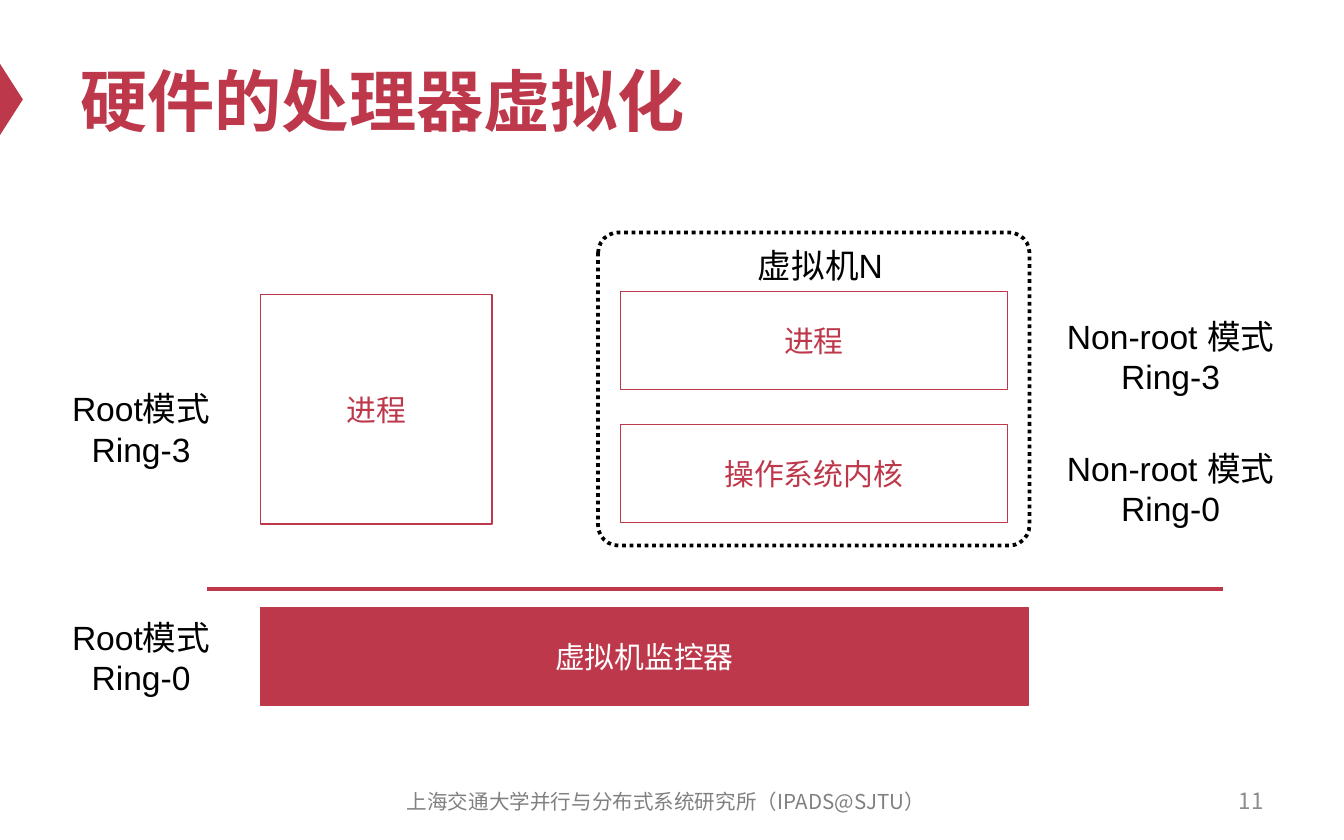
from lxml import etree
from pptx import Presentation
from pptx.dml.color import RGBColor
from pptx.enum.dml import MSO_LINE
from pptx.enum.shapes import MSO_CONNECTOR, MSO_SHAPE
from pptx.enum.text import MSO_ANCHOR, PP_ALIGN
from pptx.oxml.ns import qn
from pptx.util import Inches, Pt

RECT = MSO_SHAPE.RECTANGLE
ROUNDED = MSO_SHAPE.ROUNDED_RECTANGLE
TRIANGLE = MSO_SHAPE.ISOSCELES_TRIANGLE
STRAIGHT = MSO_CONNECTOR.STRAIGHT
DOTTED = MSO_LINE.ROUND_DOT
LEFT, CENTER, RIGHT = PP_ALIGN.LEFT, PP_ALIGN.CENTER, PP_ALIGN.RIGHT
TOP, MIDDLE = MSO_ANCHOR.TOP, MSO_ANCHOR.MIDDLE

RED = RGBColor(0xBE, 0x38, 0x4B)
WHITE = RGBColor(0xFF, 0xFF, 0xFF)
BLACK = RGBColor(0, 0, 0)
GRAY = RGBColor(0x80, 0x80, 0x80)
LIGHT_GRAY = RGBColor(0x8C, 0x8C, 0x8C)
LATIN, CJK = "Arial", "Noto Sans CJK SC"

COLUMNS, ROWS = 40, 25
CELL = Inches(0.25)
BAR_HEIGHT = 2.92
LABEL_HEIGHT = 2.84


def cells(*counts):
    return [round(count * CELL) for count in counts]


def write(frame, lines, size, color, align=CENTER, anchor=MIDDLE, name=LATIN, bold=False):
    frame.word_wrap = True
    frame.vertical_anchor = anchor
    font_format = {"name": name, "size": Pt(size), "bold": bold}
    for index, line in enumerate(lines):
        paragraph = frame.add_paragraph() if index else frame.paragraphs[0]
        paragraph.alignment = align
        run = paragraph.add_run()
        run.text = line
        for attribute, value in font_format.items():
            setattr(run.font, attribute, value)
        run.font.color.rgb = color
        etree.SubElement(run.font._element, qn("a:ea"), typeface=CJK)


def add_text(slide, box, lines, size, color, **layout):
    label = slide.shapes.add_textbox(*cells(*box))
    write(label.text_frame, lines, size, color, **layout)


def add_block(slide, box, text, fill, ink):
    block = slide.shapes.add_shape(RECT, *cells(*box))
    block.shadow.inherit = False
    block.fill.solid()
    block.fill.fore_color.rgb = fill
    block.line.color.rgb = RED
    block.line.width = Pt(0.75)
    write(block.text_frame, [text], 16, ink)


def add_header(slide, box):
    left, top, width, height = box
    marker_width, marker_height = 2.12, 0.68
    marker = slide.shapes.add_shape(TRIANGLE, *cells(
        (marker_height - marker_width) / 2, top + (height - marker_height) / 2,
        marker_width, marker_height))
    marker.rotation = 90
    marker.shadow.inherit = False
    marker.fill.solid()
    marker.fill.fore_color.rgb = RED
    marker.line.fill.background()
    add_text(slide, box, ["硬件的处理器虚拟化"], 36, RED, align=LEFT, bold=True)


def add_modes(slide, box, mode, rings, pitch):
    left, top, width = box
    for index, ring in enumerate(rings):
        add_text(slide, (left, top + index * pitch, width, LABEL_HEIGHT),
                 [mode, ring], 18, BLACK, anchor=TOP)


def add_host(slide, box):
    left, top, width, height = box
    add_block(slide, (left, top, 6.88, 6.84), "进程", WHITE, RED)
    add_block(slide, (left, top + height - BAR_HEIGHT, width, BAR_HEIGHT),
              "虚拟机监控器", RED, WHITE)
    boundary = top + 8.76
    divider = slide.shapes.add_connector(
        STRAIGHT, *cells(left - 1.6, boundary, left + width + 5.8, boundary))
    divider.line.color.rgb = RED
    divider.line.width = Pt(2)
    etree.SubElement(divider._element.spPr, qn("a:effectLst"))


def add_virtual_machine(slide, box):
    left, top, width, height = box
    inset, pitch = 0.66, 3.96
    for index, layer in enumerate(["进程", "操作系统内核"]):
        add_block(slide, (left + inset, top + 1.76 + index * pitch,
                          width - 2 * inset, BAR_HEIGHT), layer, WHITE, RED)
    border = slide.shapes.add_shape(ROUNDED, *cells(*box))
    border.adjustments[0] = 0.065
    border.shadow.inherit = False
    border.fill.background()
    border.line.color.rgb = BLACK
    border.line.width = Pt(2)
    border.line.dash_style = DOTTED
    add_text(slide, (left + 4.36, top + 0.16, 6.2, 2.2), ["虚拟机N"], 18, BLACK,
             align=LEFT, anchor=TOP)


def add_footer(slide, box):
    left, top, width, height = box
    add_text(slide, (left + 9.16, top, 17.32, height),
             ["上海交通大学并行与分布式系统研究所（IPADS@SJTU）"], 11, GRAY, name=CJK)
    add_text(slide, (left + width - 9.32, top, 9.32, height), ["11"], 12, LIGHT_GRAY,
             align=RIGHT, name=CJK)


def main():
    deck = Presentation()
    deck.slide_width, deck.slide_height = cells(COLUMNS, ROWS)
    slide = deck.slides.add_slide(deck.slide_layouts[6])
    add_header(slide, (2, 1, 36, 3.92))
    add_host(slide, (7.76, 8.76, 22.84, 12.24))
    add_virtual_machine(slide, (17.8, 6.92, 12.84, 9.32))
    add_modes(slide, (1.72, 11.36, 4.96), "Root模式", ["Ring-3", "Ring-0"], 6.8)
    add_modes(slide, (31.32, 9.2, 7.04), "Non-root 模式", ["Ring-3", "Ring-0"], 3.92)
    add_footer(slide, (2, 23.18, 36, 1.32))
    deck.save("out.pptx")


if __name__ == "__main__":
    main()
